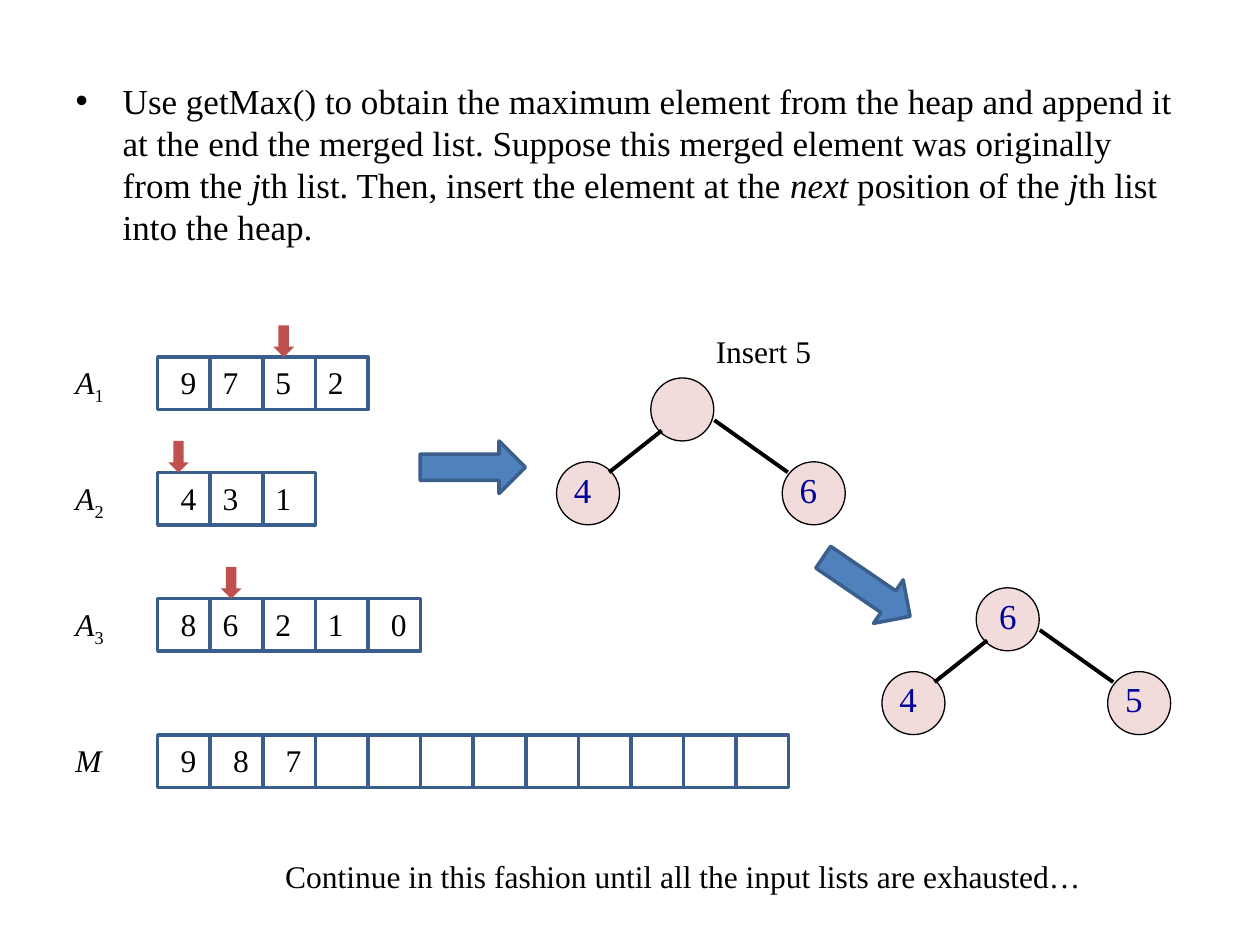
from dataclasses import dataclass

import pptx
import pptx.dml.color
import pptx.enum.shapes
import pptx.enum.text
import pptx.oxml
import pptx.oxml.ns
import pptx.util
from lxml import etree

Cm = pptx.util.Cm
Pt = pptx.util.Pt
RGBColor = pptx.dml.color.RGBColor
Shape = pptx.enum.shapes.MSO_SHAPE

BLACK = RGBColor(0x00, 0x00, 0x00)
WHITE = RGBColor(0xFF, 0xFF, 0xFF)
NAVY = RGBColor(0x00, 0x00, 0x99)
BLUE = RGBColor(0x4F, 0x81, 0xBD)
OUTLINE = RGBColor(0x3A, 0x5F, 0x8C)
RED = RGBColor(0xC0, 0x50, 0x4D)
PINK = RGBColor(0xF2, 0xDC, 0xDB)

BODY_FONT = {"name": "Times New Roman", "size": Pt(20), "italic": False}
LABEL_FONT = {**BODY_FONT, "size": Pt(18)}
ITALIC_FONT = {**LABEL_FONT, "italic": True}

LABEL_LEFT = 1.27
LIST_LEFT = 3.18
CELL = 1.06
INSET = 0.21
TEXT_HEIGHT = 1.02
NODE = 1.27


@dataclass
class NumberList:
    name: str
    subscript: str
    top: float
    values: str
    length: int
    indented: tuple[int, ...]
    pointer: int | None = None


@dataclass
class Heap:
    left: float
    top: float
    values: tuple[str, str, str]


# Root, left child and right child, from the heap's top left corner
NODE_OFFSETS = ((1.9, 0), (0, 1.69), (4.55, 1.69))
DIGIT_INSETS = (INSET, 0.1, 0.1)
EDGES = ((2.12, 1.06, 1.06, 1.9), (3.18, 0.85, 4.66, 1.9))

LISTS = [
    NumberList("A", "1", 7.2, "9752", 4, (0,), 2),
    NumberList("A", "2", 9.53, "431", 3, (0,), 0),
    NumberList("A", "3", 12.07, "86210", 5, (0, 4), 1),
    NumberList("M", "", 14.82, "987", 12, (0, 1, 2)),
]
HEAPS = [
    Heap(11.22, 7.62, ("", "4", "6")),
    Heap(17.78, 11.85, ("6", "4", "5")),
]
INSTRUCTION = [
    ("Use getMax() to obtain the maximum element from the heap and append it "
     "at the end the merged list. Suppose this merged element was originally "
     "from the ", False),
    ("j", True),
    ("th list. Then, insert the element at the ", False),
    ("next", True),
    (" position of the ", False),
    ("j", True),
    ("th list into the heap.", False),
]


def add_run(paragraph, text: str, formats: dict, color: RGBColor = BLACK):
    run = paragraph.add_run()
    run.text = text
    for attribute, value in formats.items():
        setattr(run.font, attribute, value)
    run.font.color.rgb = color
    return run


def add_text(shapes, left: float, top: float, width: float, text: str,
             formats: dict = LABEL_FONT, color: RGBColor = BLACK, wrap: bool = True):
    box = shapes.add_textbox(Cm(left), Cm(top), Cm(width), Cm(TEXT_HEIGHT))
    box.text_frame.word_wrap = wrap
    paragraph = box.text_frame.paragraphs[0]
    add_run(paragraph, text, formats, color)
    return paragraph


def add_figure(shapes, kind, left: float, top: float, width: float, height: float,
               fill: RGBColor, line: RGBColor | None = None, line_width: float = 2):
    shape = shapes.add_shape(kind, Cm(left), Cm(top), Cm(width), Cm(height))
    shape.shadow.inherit = False
    shape.fill.solid()
    shape.fill.fore_color.rgb = fill
    if line is None:
        shape.line.fill.background()
    else:
        shape.line.color.rgb = line
        shape.line.width = Pt(line_width)
    return shape


def add_list(shapes, numbers: NumberList) -> None:
    label = add_text(shapes, LABEL_LEFT, numbers.top, 1.47, numbers.name, ITALIC_FONT)
    if numbers.subscript:
        subscript = add_run(label, numbers.subscript, LABEL_FONT)
        subscript.font._element.set("baseline", "-25000")
    for index in range(numbers.length):
        add_figure(shapes, Shape.RECTANGLE, LIST_LEFT + index * CELL, numbers.top,
                   CELL, CELL, WHITE, OUTLINE)
    for index, value in enumerate(numbers.values):
        inset = INSET if index in numbers.indented else 0
        add_text(shapes, LIST_LEFT + index * CELL + inset, numbers.top, 0.85, value)
    if numbers.pointer is not None:
        add_figure(shapes, Shape.DOWN_ARROW,
                   LIST_LEFT + numbers.pointer * CELL + INSET, numbers.top - 0.64,
                   0.42, 0.64, RED)


def add_heap(slide, heap: Heap) -> None:
    shapes = slide.shapes.add_group_shape().shapes
    for (x, y), inset, value in zip(NODE_OFFSETS, DIGIT_INSETS, heap.values):
        left, top = heap.left + x, heap.top + y
        add_figure(shapes, Shape.OVAL, left, top, NODE, NODE, PINK, BLACK, 0.75)
        if value:
            add_text(shapes, left + inset, top, 0.88, value, BODY_FONT, NAVY)
    for x1, y1, x2, y2 in EDGES:
        edge = shapes.add_connector(
            pptx.enum.shapes.MSO_CONNECTOR.STRAIGHT,
            Cm(heap.left + x1), Cm(heap.top + y1), Cm(heap.left + x2), Cm(heap.top + y2))
        edge.line.color.rgb = BLACK
        edge.line.width = Pt(2.25)
        etree.SubElement(edge._element.spPr, pptx.oxml.ns.qn("a:effectLst"))


def fill_body(body) -> None:
    body.left, body.top, body.width, body.height = Cm(1.27), Cm(1.47), Cm(22.86), Cm(15.54)
    body.text_frame.auto_size = pptx.enum.text.MSO_AUTO_SIZE.NONE
    paragraph = body.text_frame.paragraphs[0]
    properties = paragraph._element.get_or_add_pPr()
    properties.set("marL", str(Cm(0.95)))
    properties.set("indent", str(Cm(-0.95)))
    bullet = etree.SubElement(properties, pptx.oxml.ns.qn("a:buChar"))
    bullet.set("char", "•")
    paragraph.space_before = Pt(0)
    for text, italic in INSTRUCTION:
        add_run(paragraph, text, {**BODY_FONT, "italic": italic})


def main() -> None:
    presentation = pptx.Presentation()
    presentation.slide_width, presentation.slide_height = Cm(25.4), Cm(19.05)
    slide = presentation.slides.add_slide(presentation.slide_layouts[1])
    title = slide.shapes.title._element
    title.getparent().remove(title)
    fill_body(slide.placeholders[1])

    for numbers in LISTS:
        add_list(slide.shapes, numbers)
    for heap in HEAPS:
        add_heap(slide, heap)
    for left, top, rotation in ((8.47, 8.89, 0), (16.41, 11.3, 34.3)):
        arrow = add_figure(slide.shapes, Shape.RIGHT_ARROW, left, top, 2.12, CELL,
                           BLUE, OUTLINE)
        arrow.rotation = rotation

    add_text(slide.shapes, 14.18, 6.56, 2.46, "Insert 5", wrap=False)
    add_text(slide.shapes, 5.5, 17.15, 17.36,
             "Continue in this fashion until all the input lists are exhausted…")
    presentation.save("out.pptx")


if __name__ == "__main__":
    main()
